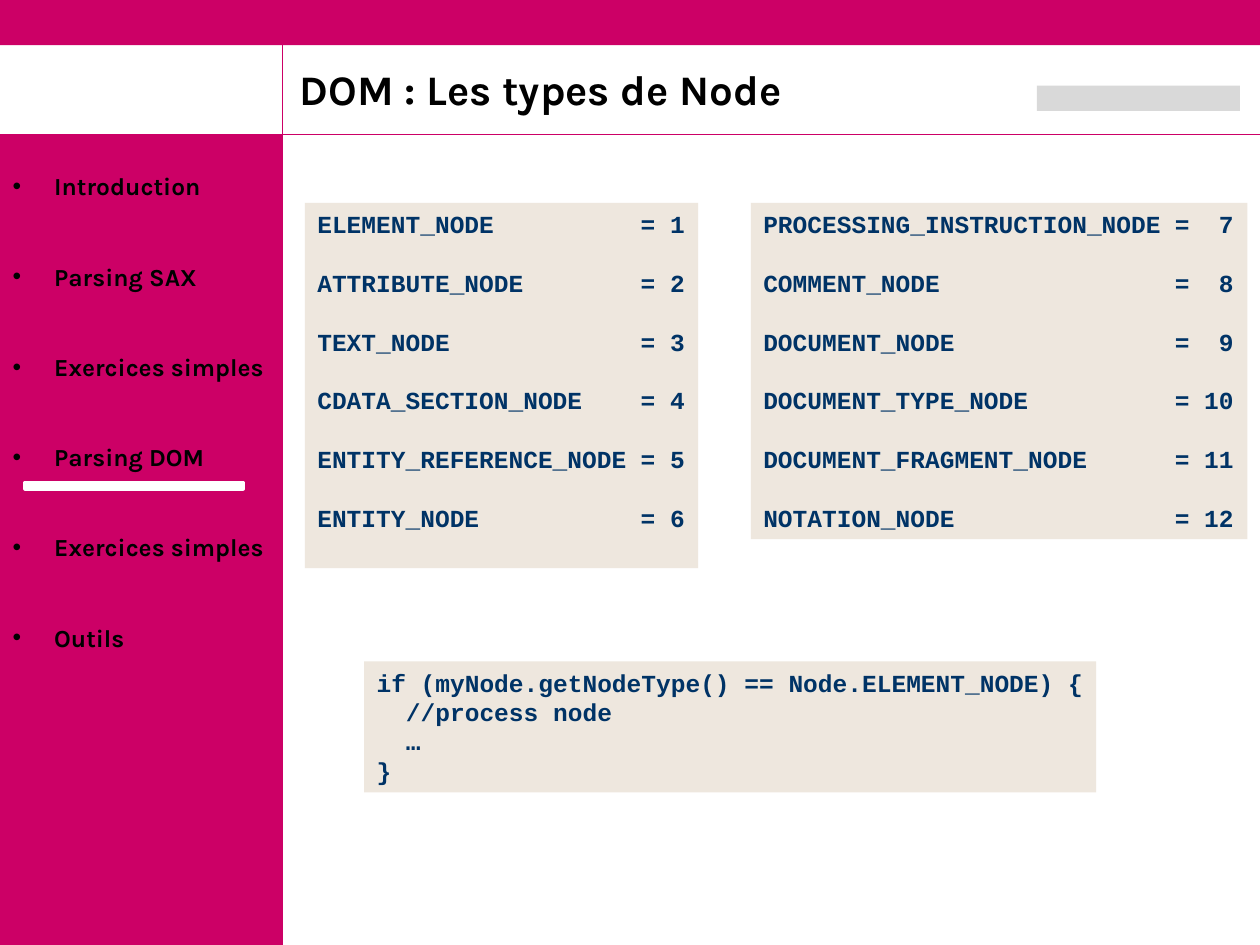
from dataclasses import dataclass
from lxml import etree
from pptx import Presentation
from pptx.dml.color import RGBColor
from pptx.enum.shapes import MSO_CONNECTOR, MSO_SHAPE
from pptx.enum.text import MSO_ANCHOR, MSO_AUTO_SIZE, PP_ALIGN
from pptx.oxml.ns import qn
from pptx.util import Inches, Pt

RECT, STRAIGHT = MSO_SHAPE.RECTANGLE, MSO_CONNECTOR.STRAIGHT
LEFT, TOP, BOTTOM = PP_ALIGN.LEFT, MSO_ANCHOR.TOP, MSO_ANCHOR.BOTTOM
NO_FIT = MSO_AUTO_SIZE.NONE


@dataclass(frozen=True)
class Theme:
    accent: RGBColor = RGBColor(0xCC, 0x00, 0x66)
    panel: RGBColor = RGBColor(0xEE, 0xE7, 0xDE)
    code: RGBColor = RGBColor(0x00, 0x33, 0x66)
    text: RGBColor = RGBColor(0x00, 0x00, 0x00)
    light: RGBColor = RGBColor(0xFF, 0xFF, 0xFF)
    neutral: RGBColor = RGBColor(0xD9, 0xD9, 0xD9)
    sans: str = "Karla"
    mono: str = "Courier New"
    title_size: int = 24
    text_size: int = 14


theme = Theme()
prs = Presentation()
prs.slide_width, prs.slide_height = Inches(10), Inches(7.5)
s = prs.slides.add_slide(prs.slide_layouts[1])
CELL = prs.slide_width // 100
COLS, ROWS = 100, 75
SIDE, HEAD = 22.4, 10.7
CHAR = Pt(theme.text_size * 0.6)


def add_rect(col, row, cols, rows, color):
    sp = s.shapes.add_shape(RECT, *(int(v * CELL) for v in (col, row, cols, rows)))
    sp.shadow.inherit = False
    sp.fill.solid()
    sp.fill.fore_color.rgb = color
    sp.line.fill.background()
    return sp


def style(p, size, name, color):
    p.alignment = LEFT
    for r in p.runs:
        r.font.size, r.font.name, r.font.bold = Pt(size), name, True
        r.font.color.rgb = color


add_rect(0, HEAD, SIDE, ROWS - HEAD, theme.accent)
add_rect(0, 0, COLS, 3.6, theme.accent)
for ends in [(0, HEAD, COLS, HEAD), (SIDE, ROWS, SIDE, 0)]:
    rule = s.shapes.add_connector(STRAIGHT, *(int(v * CELL) for v in ends))
    rule.line.color.rgb, rule.line.width = theme.accent, Pt(0.75)
    etree.SubElement(rule._element.spPr, qn("a:effectLst"))
add_rect(82.3, 6.8, 16.1, 2, theme.neutral)

title, menu = s.shapes.title, s.placeholders[1]
for sp, area, anchor in [
    (title, (22.8, 4.8, 73.3, 4.8), BOTTOM),
    (menu, (0, 13.1, 23.2, 40.4), TOP),
]:
    sp.left, sp.top, sp.width, sp.height = (int(v * CELL) for v in area)
    sp.text_frame.auto_size = NO_FIT
    sp.text_frame.vertical_anchor = anchor
    sp.element.getparent().append(sp.element)

title.text_frame.text = "DOM : Les types de Node"
p = title.text_frame.paragraphs[0]
p.line_spacing = 0.9
style(p, theme.title_size, theme.sans, theme.text)

menu.text_frame.text = "\n".join([
    "Introduction", "Parsing SAX", "Exercices simples",
    "Parsing DOM", "Exercices simples", "Outils",
])
for i, p in enumerate(menu.text_frame.paragraphs):
    p.space_before = Pt(34.8 if i else 0)
    pPr = p._p.get_or_add_pPr()
    pPr.set("marL", str(Inches(0.33)))
    pPr.set("indent", str(-Inches(0.33)))
    color = etree.SubElement(pPr, qn("a:buClr"))
    etree.SubElement(color, qn("a:srgbClr"), val=str(theme.text))
    etree.SubElement(pPr, qn("a:buFont"), typeface="Arial")
    etree.SubElement(pPr, qn("a:buChar"), char="•")
    style(p, theme.text_size, theme.sans, theme.text)

first_types = [
    "ELEMENT_NODE", "ATTRIBUTE_NODE", "TEXT_NODE",
    "CDATA_SECTION_NODE", "ENTITY_REFERENCE_NODE", "ENTITY_NODE",
]
last_types = [
    "PROCESSING_INSTRUCTION_NODE", "COMMENT_NODE", "DOCUMENT_NODE",
    "DOCUMENT_TYPE_NODE", "DOCUMENT_FRAGMENT_NODE", "NOTATION_NODE",
]
snippet = [
    "if (myNode.getNodeType() == Node.ELEMENT_NODE) {",
    "  //process node", "  …", "}",
]
first_lines = [f"{name}\t=\t{n}" for n, name in enumerate(first_types, 1)]
last_lines = [f"{name}\t=\t{n}" for n, name in enumerate(last_types, 7)]

for area, lines, gap, stops in [
    ((24.2, 16.1, 31.2, 29), first_lines, 16.8, [(22, "l"), (25, "r")]),
    ((59.6, 16.1, 39.4, 26.7), last_lines, 16.8, [(28, "l"), (32, "r")]),
    ((28.9, 52.5, 58.1, 10.4), snippet, 0, []),
]:
    tf = add_rect(*area, theme.panel).text_frame
    tf.word_wrap, tf.vertical_anchor = True, TOP
    tf.margin_right = 0
    tf.text = "\n".join(lines)
    for i, p in enumerate(tf.paragraphs):
        p.line_spacing = Pt(16.8)
        p.space_before = Pt(gap if i else 0)
        if stops:
            tabs = etree.SubElement(p._p.get_or_add_pPr(), qn("a:tabLst"))
            for chars, side in stops:
                etree.SubElement(tabs, qn("a:tab"), pos=str(int(chars * CHAR)), algn=side)
        style(p, theme.text_size, theme.mono, theme.code)

marker = add_rect(2, 38.3, 17.3, 0.5, theme.light)
marker.line.color.rgb, marker.line.width = theme.light, Pt(2)

prs.save("out.pptx")
